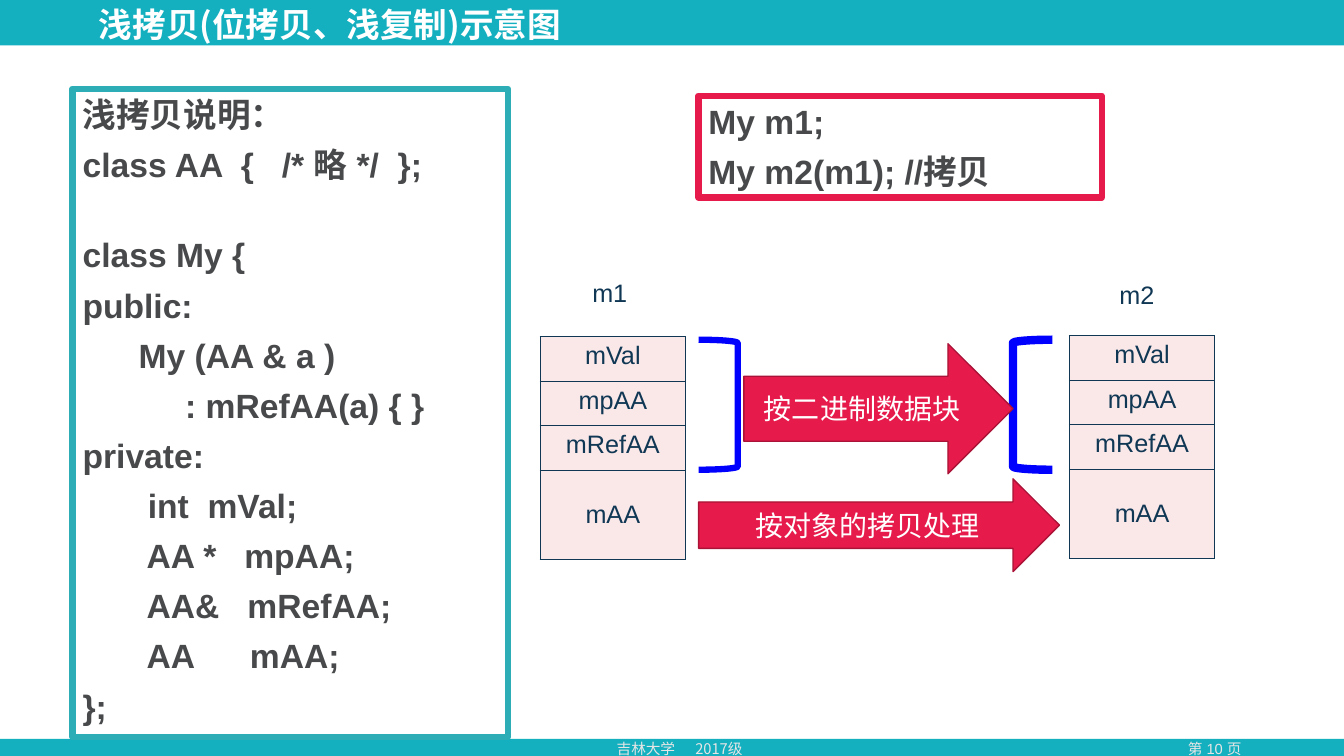
from dataclasses import dataclass
from typing import NamedTuple

from lxml.etree import SubElement
from pptx import Presentation
from pptx.dml.color import RGBColor
from pptx.enum.shapes import MSO_SHAPE
from pptx.enum.text import MSO_ANCHOR, MSO_AUTO_SIZE, PP_ALIGN
from pptx.oxml.ns import qn
from pptx.util import Emu, Inches, Pt

COLS, ROWS = 160, 90
WIDTH, HEIGHT = Inches(13.33), Inches(7.5)
LATIN, CJK = "Arial", "Noto Sans CJK SC"
TEAL, WHITE, RED, NAVY, GREY = "14B0C0", "FFFFFF", "E61A4B", "103754", "47494B"
CODE_GAP, CODE_LINE = 7, 28.8
MEMBER_ROW = 5.31


class Box(NamedTuple):
    col: float
    row: float
    cols: float
    rows: float


@dataclass
class Style:
    size: float
    font: str
    color: str
    bold: bool = False
    align: PP_ALIGN = PP_ALIGN.LEFT


@dataclass
class Shape:
    kind: MSO_SHAPE
    box: Box
    line: str
    weight: float
    fill: str = ""
    text: str = ""


@dataclass
class Member:
    name: str
    rows: float = MEMBER_ROW
    anchor: MSO_ANCHOR = MSO_ANCHOR.TOP


@dataclass
class Instance:
    name: str
    label: Box
    col: float
    row: float


TITLE = Style(24, CJK, WHITE, True)
CODE = Style(24, LATIN, GREY, True)
LABEL = Style(18, LATIN, NAVY, align=PP_ALIGN.CENTER)
ARROW = Style(20, CJK, WHITE, align=PP_ALIGN.CENTER)
SCHOOL = Style(10.5, CJK, "E7E6E6")
PAGE = Style(10.5, LATIN, "E7E6E6", align=PP_ALIGN.CENTER)

CLASS_CODE = """浅拷贝说明：
class AA  {   /* 略 */  };
class My {
public:
      My (AA & a )
           : mRefAA(a) { }
private:
       int  mVal;
       AA *   mpAA;
       AA&   mRefAA;
       AA      mAA;
};"""
CALL_CODE = "My m1;\nMy m2(m1); //拷贝"

BANDS = [Box(0, 0, COLS, 5.4), Box(0, 87.96, COLS, 2.04)]
MEMBERS = [Member("mVal"), Member("mpAA"), Member("mRefAA"),
           Member("mAA", 2 * MEMBER_ROW, MSO_ANCHOR.MIDDLE)]
INSTANCES = [Instance("m1", Box(68.04, 32.4, 9.12, 4.8), 64.32, 40.08),
             Instance("m2", Box(130.8, 32.64, 9.12, 4.8), 127.32, 39.96)]
SHAPES = [
    Shape(MSO_SHAPE.RIGHT_BRACKET, Box(83.16, 40.44, 4.68, 15.48), "0000FF", 4.5),
    Shape(MSO_SHAPE.LEFT_BRACKET, Box(120.6, 40.44, 4.68, 15.48), "0000FF", 6),
    Shape(MSO_SHAPE.RIGHT_ARROW, Box(88.56, 40.92, 32.04, 15.48), "AA1337", 1, RED, "按二进制数据块"),
    Shape(MSO_SHAPE.RIGHT_ARROW, Box(83.16, 57, 42.96, 11.04), "AA1337", 1, RED, "按对象的拷贝处理"),
]


def rgb(color: str) -> RGBColor:
    return RGBColor.from_string(color)


def x(cols: float) -> Emu:
    return Emu(round(WIDTH * cols / COLS))


def y(rows: float) -> Emu:
    return Emu(round(HEIGHT * rows / ROWS))


def emu(box: Box) -> tuple:
    return x(box.col), y(box.row), x(box.cols), y(box.rows)


def format_text(tf, style: Style) -> None:
    for p in tf.paragraphs:
        p.alignment = style.align
        for r in p.runs:
            r.font.size = Pt(style.size)
            r.font.name = style.font
            r.font.bold = style.bold
            r.font.color.rgb = rgb(style.color)
            SubElement(r.font._element, qn("a:ea"), typeface=style.font)


def write(tf, text: str, style: Style, anchor=MSO_ANCHOR.TOP) -> None:
    tf.text = text
    tf.word_wrap = True
    tf.auto_size = MSO_AUTO_SIZE.NONE
    tf.vertical_anchor = anchor
    format_text(tf, style)


def move(sp, box: Box) -> None:
    sp.left, sp.top, sp.width, sp.height = emu(box)


def add_text(s, box: Box, text: str, style: Style):
    tf = s.shapes.add_textbox(*emu(box)).text_frame
    write(tf, text, style)
    return tf


def add_shape(s, item: Shape):
    sp = s.shapes.add_shape(item.kind, *emu(item.box))
    sp.shadow.inherit = False
    if item.fill:
        sp.fill.solid()
        sp.fill.fore_color.rgb = rgb(item.fill)
    else:
        sp.fill.background()
    if item.line:
        sp.line.color.rgb = rgb(item.line)
        sp.line.width = Pt(item.weight)
    else:
        sp.line.fill.background()
    if item.text:
        write(sp.text_frame, item.text, ARROW, MSO_ANCHOR.MIDDLE)
    return sp


def fill_code(sp, code: str, line: str) -> None:
    sp.line.color.rgb = rgb(line)
    sp.line.width = Pt(4.5)
    write(sp.text_frame, code, CODE)
    for i, p in enumerate(sp.text_frame.paragraphs):
        pPr = p._p.get_or_add_pPr()
        pPr.set("marL", str(Inches(0.35)))
        pPr.set("indent", str(-Inches(0.35)))
        SubElement(pPr, qn("a:buNone"))
        p.space_before = Pt(CODE_GAP if i else 0)


def add_borders(cell) -> None:
    tcPr = cell._tc.get_or_add_tcPr()
    for i, side in enumerate(("lnL", "lnR", "lnT", "lnB")):
        ln = tcPr.makeelement(qn(f"a:{side}"), {"w": str(Pt(1))})
        fill = SubElement(ln, qn("a:solidFill"))
        SubElement(fill, qn("a:srgbClr"), val=NAVY)
        tcPr.insert(i, ln)


def add_instance(s, item: Instance) -> None:
    add_text(s, item.label, item.name, LABEL)
    box = Box(item.col, item.row, 17.28, sum(m.rows for m in MEMBERS))
    table = s.shapes.add_table(len(MEMBERS), 1, *emu(box)).table
    table.first_row = table.horz_banding = False
    for i, member in enumerate(MEMBERS):
        table.rows[i].height = y(member.rows)
        cell = table.cell(i, 0)
        cell.text_frame.text = member.name
        format_text(cell.text_frame, LABEL)
        cell.vertical_anchor = member.anchor
        cell.fill.solid()
        cell.fill.fore_color.rgb = rgb("FAE8E9")
        add_borders(cell)


def main() -> None:
    prs = Presentation()
    prs.slide_width, prs.slide_height = WIDTH, HEIGHT
    s = prs.slides.add_slide(prs.slide_layouts[1])

    for box in BANDS:
        band = add_shape(s, Shape(MSO_SHAPE.RECTANGLE, box, "", 0, TEAL))
        s.shapes._spTree.insert(2, band._element)
    add_text(s, Box(135.84, 87.48, 17.52, 3.36), "第 10 页", PAGE)
    school = add_text(s, Box(72.24, 87.48, 22.08, 3.36), "吉林大学\t2017级", SCHOOL)
    tabs = SubElement(school.paragraphs[0]._p.get_or_add_pPr(), qn("a:tabLst"))
    SubElement(tabs, qn("a:tab"), pos=str(Inches(0.78)), algn="l")

    title, body = s.shapes.title, s.placeholders[1]
    move(title, Box(10.56, 0.84, 92.16, 4.68))
    write(title.text_frame, "浅拷贝(位拷贝、浅复制)示意图", TITLE, MSO_ANCHOR.MIDDLE)
    title.text_frame.paragraphs[0].line_spacing = 0.9
    move(body, Box(8.64, 10.56, 51.84, 77.16))
    fill_code(body, CLASS_CODE, "2DAEB7")
    body.text_frame.paragraphs[2].space_before = Pt(CODE_GAP + CODE_LINE)

    calls = add_shape(s, Shape(MSO_SHAPE.RECTANGLE, Box(83.16, 11.4, 48, 12.12), RED, 4.5))
    fill_code(calls, CALL_CODE, RED)
    for item in INSTANCES:
        add_instance(s, item)
    for item in SHAPES:
        add_shape(s, item)
    prs.save("out.pptx")


if __name__ == "__main__":
    main()
